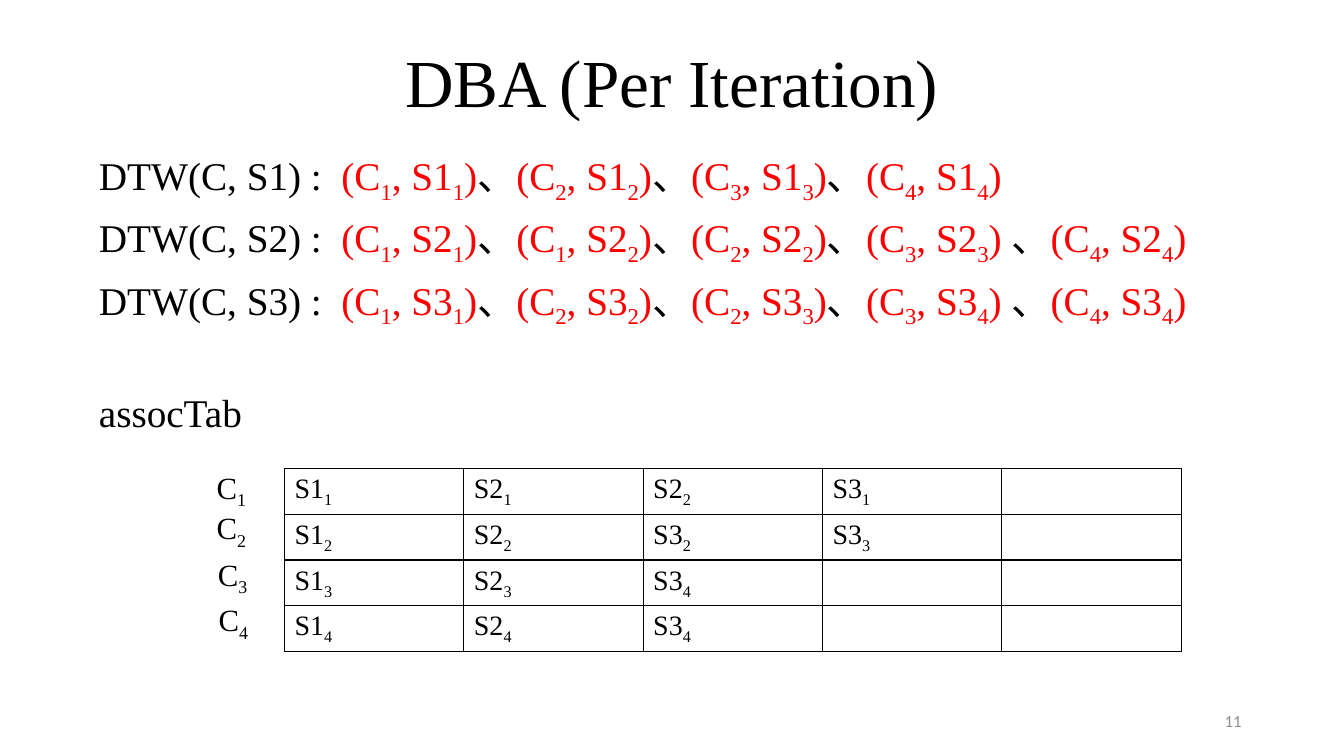
from lxml import etree
from pptx import Presentation
from pptx.dml.color import RGBColor
from pptx.enum.text import MSO_ANCHOR, MSO_AUTO_SIZE, PP_ALIGN
from pptx.oxml.ns import qn
from pptx.util import Cm, Pt

CENTER, LEFT, RIGHT = PP_ALIGN.CENTER, PP_ALIGN.LEFT, PP_ALIGN.RIGHT
MIDDLE, TOP = MSO_ANCHOR.MIDDLE, MSO_ANCHOR.TOP
NO_AUTOFIT = MSO_AUTO_SIZE.NONE
SERIF, SANS = "Times New Roman", "Calibri"
COLORS = {"ink": "000000", "pair": "FF0000", "page": "8C8C8C"}

# Index pairs (centre point, series point) on each warping path
WARPING_PATHS = {
    "S1": [(1, 1), (2, 2), (3, 3), (4, 4)],
    "S2": [(1, 1), (1, 2), (2, 2), (3, 3), (4, 4)],
    "S3": [(1, 1), (2, 2), (2, 3), (3, 4), (4, 4)],
}
ASSOC_TABLE = [
    ["S1_1", "S2_1", "S2_2", "S3_1", ""],
    ["S1_2", "S2_2", "S3_2", "S3_3", ""],
    ["S1_3", "S2_3", "S3_4", "", ""],
    ["S1_4", "S2_4", "S3_4", "", ""],
]
CENTER_LABELS = [("C_1", 5.21, 11.68), ("C_2", 5.21, 12.7),
                 ("C_3", 5.24, 13.87), ("C_4", 5.26, 15.01)]


class SlideBuilder:
    def __init__(self, slide):
        self.slide = slide

    def place(self, box, left, top, width, height):
        box.left, box.top = Cm(left), Cm(top)
        box.width, box.height = Cm(width), Cm(height)

    def add_text(self, paragraph, text, size, color="ink", font=SERIF):
        """Add text in which _n stands for a subscript digit n."""
        first, *rest = text.split("_")
        pieces = [(first, False)]
        for part in rest:
            pieces += [(part[0], True), (part[1:], False)]
        for piece, is_subscript in pieces:
            if not piece:
                continue
            run = paragraph.add_run()
            run.text = piece
            run.font.size = Pt(size)
            run.font.name = font
            run.font.color.rgb = RGBColor.from_string(COLORS[color])
            if is_subscript:
                run._r.get_or_add_rPr().set("baseline", "-25000")

    def title(self, text):
        heading = self.slide.shapes.title
        self.place(heading, 2.33, 0.31, 29.21, 3.68)
        heading.text_frame.vertical_anchor = MIDDLE
        paragraph = heading.text_frame.paragraphs[0]
        paragraph.alignment = CENTER
        paragraph.line_spacing = 0.9
        self.add_text(paragraph, text, 48)

    def body_line(self, frame, space_before):
        paragraph = frame.paragraphs[0]
        if paragraph.runs:
            paragraph = frame.add_paragraph()
        properties = paragraph._p.get_or_add_pPr()
        properties.set("marL", "0")
        properties.set("indent", "0")
        etree.SubElement(properties, qn("a:buNone"))
        paragraph.alignment = LEFT
        paragraph.line_spacing = 0.9
        paragraph.space_before = Pt(space_before)
        return paragraph

    def body(self, warping_paths, caption):
        content = self.slide.placeholders[1]
        self.place(content, 2.24, 3.71, 30.33, 14.48)
        frame = content.text_frame
        frame.auto_size = NO_AUTOFIT
        frame.vertical_anchor = TOP
        for row, (series, pairs) in enumerate(warping_paths.items()):
            line = self.body_line(frame, 10 if row else 0)
            self.add_text(line, f"DTW(C, {series}) :  ", 28)
            for position, (center, point) in enumerate(pairs):
                if position:
                    self.add_text(line, " 、" if position == 4 else "、", 28)
                self.add_text(line, f"(C_{center}, {series}_{point})", 28,
                              "pair")
        self.add_text(self.body_line(frame, 49), caption, 28)

    def label(self, text, left, top, width, height, size,
              color="ink", font=SERIF, align=LEFT, anchor=TOP):
        box = self.slide.shapes.add_textbox(
            Cm(left), Cm(top), Cm(width), Cm(height))
        box.text_frame.word_wrap = True
        box.text_frame.vertical_anchor = anchor
        paragraph = box.text_frame.paragraphs[0]
        paragraph.alignment = align
        self.add_text(paragraph, text, size, color, font)

    def border(self, cell):
        properties = cell._tc.get_or_add_tcPr()
        for side in ("lnL", "lnR", "lnT", "lnB"):
            edge = etree.SubElement(properties, qn(f"a:{side}"), w=str(Pt(1)))
            fill = etree.SubElement(edge, qn("a:solidFill"))
            etree.SubElement(fill, qn("a:srgbClr"), val=COLORS["ink"])

    def table(self, rows, left, top, column_width, row_height):
        columns = len(rows[0])
        table = self.slide.shapes.add_table(
            len(rows), columns, Cm(left), Cm(top),
            Cm(column_width * columns), Cm(row_height * len(rows))).table
        table.first_row = table.horz_banding = False
        for r, entries in enumerate(rows):
            for c, entry in enumerate(entries):
                cell = table.cell(r, c)
                self.border(cell)
                cell.fill.background()
                self.add_text(cell.text_frame.paragraphs[0], entry, 20)


def main():
    deck = Presentation()
    deck.slide_width, deck.slide_height = Cm(33.87), Cm(19.05)
    builder = SlideBuilder(deck.slides.add_slide(deck.slide_layouts[1]))
    builder.title("DBA (Per Iteration)")
    builder.body(WARPING_PATHS, "assocTab")
    builder.table(ASSOC_TABLE, 7.17, 11.81, 4.52, 1.15)
    for text, left, top in CENTER_LABELS:
        builder.label(text, left, top, 1.88, 1.19, 22)
    builder.label("11", 23.92, 17.66, 7.62, 1.01, 12,
                  "page", SANS, RIGHT, MIDDLE)
    deck.save("out.pptx")


if __name__ == "__main__":
    main()
